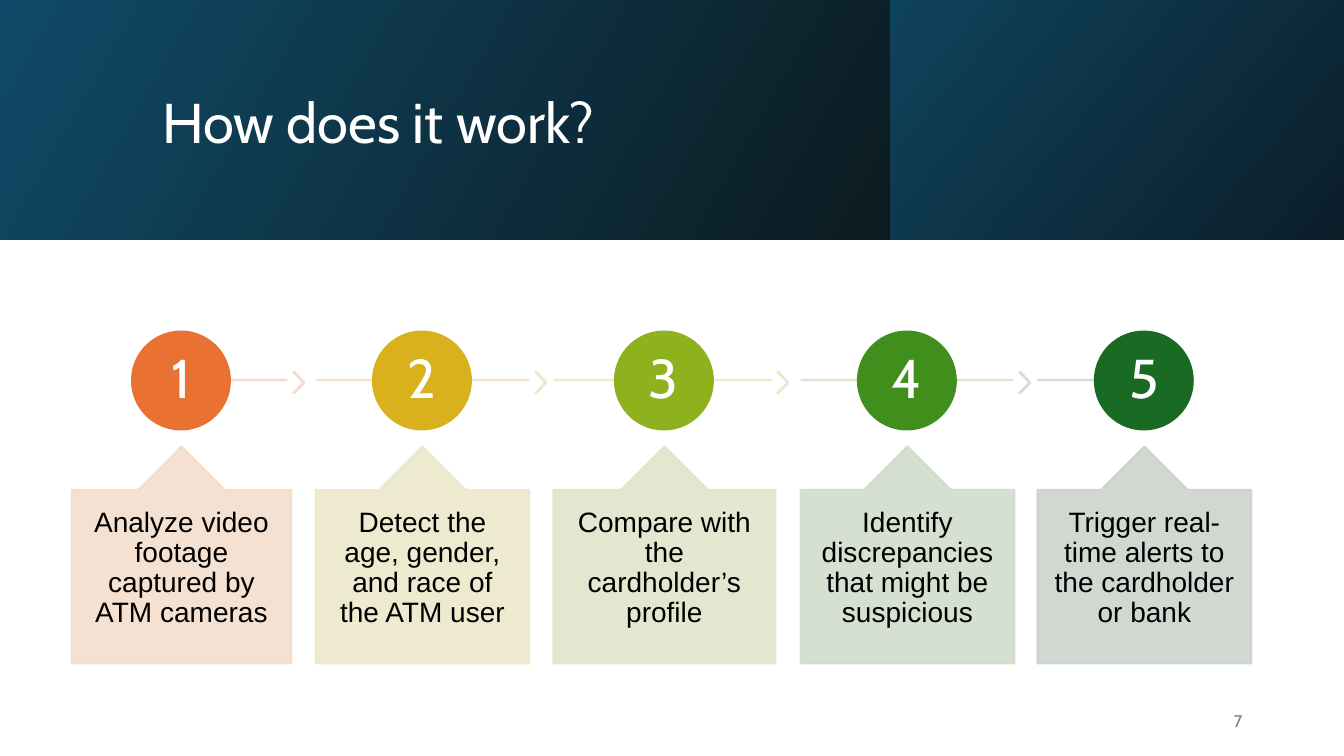
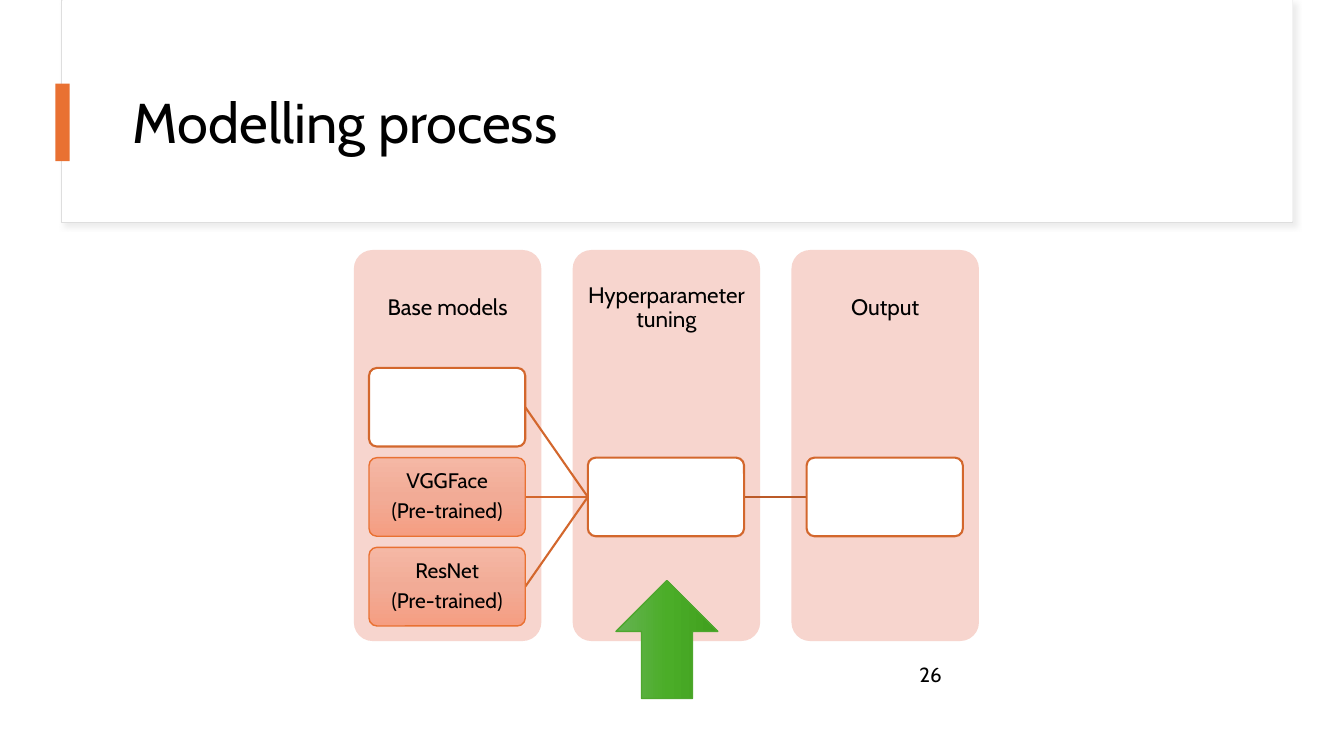
from pptx import Presentation
from pptx.dml.color import RGBColor
from pptx.enum.shapes import MSO_CONNECTOR, MSO_SHAPE
from pptx.enum.text import MSO_ANCHOR, PP_ALIGN
from pptx.oxml.ns import qn
from pptx.util import Inches, Pt
from lxml.etree import SubElement

COLORS = {
    "white": "FFFFFF",
    "black": "000000",
    "grey": "797979",
    "orange": "E97132",
    "rust": "D3672D",
    "dark rust": "BB5A28",
    "blush": "F7D5CE",
    "card edge": "DEDEDE",
    "card shadow": "D9D9D9",
    "green": "4EA72E",
}
BAND_LEFT = ["104A68", "0C1B20"]
BAND_RIGHT = ["0F435C", "0B1E2A"]
SALMON = ["F5B8A5", "F2AB96", "F59E82"]
LEAF = ["66B354", "4BAD28", "409F1E"]


class Deck:
    """Holds the shared style and the slide being drawn."""

    font = "Cabin"

    def __init__(self):
        self.presentation = Presentation()
        self.presentation.slide_width = Inches(13.33)
        self.presentation.slide_height = Inches(7.5)
        self.slide = None

    def add_slide(self):
        self.slide = self.presentation.slides.add_slide(self.presentation.slide_layouts[6])

    def color(self, name):
        return RGBColor.from_string(COLORS.get(name, name))

    def set_alpha(self, shape, percent):
        for color in shape._element.spPr.iter(qn("a:srgbClr")):
            SubElement(color, qn("a:alpha"), val=str(percent * 1000))

    def set_gradient(self, shape, stops, angle):
        shape.fill.gradient()
        shape.fill.gradient_angle = angle
        stop_list = shape._element.spPr.find(".//" + qn("a:gsLst"))
        for stop in list(stop_list):
            stop_list.remove(stop)
        for index, value in enumerate(stops):
            position = 100000 * index // (len(stops) - 1)
            stop = SubElement(stop_list, qn("a:gs"), pos=str(position))
            SubElement(stop, qn("a:srgbClr"), val=value)

    def set_shadow(self, shape, name):
        effects = shape._element.spPr.find(qn("a:effectLst"))
        shadow = SubElement(effects, qn("a:outerShdw"), blurRad=str(Pt(4)), dist=str(Pt(3)),
                            dir="2700000", algn="tl", rotWithShape="0")
        color = SubElement(shadow, qn("a:srgbClr"), val=COLORS[name])
        SubElement(color, qn("a:alpha"), val="50000")

    def shape(self, kind, left, top, width, height, fill, line=None, weight=1.5,
              angle=0, adjustments=()):
        shape = self.slide.shapes.add_shape(
            kind, Inches(left), Inches(top), Inches(width), Inches(height))
        shape.shadow.inherit = False
        for index, value in enumerate(adjustments):
            shape.adjustments[index] = value
        if isinstance(fill, list):
            self.set_gradient(shape, fill, angle)
        else:
            shape.fill.solid()
            shape.fill.fore_color.rgb = self.color(fill)
        if line:
            shape.line.color.rgb = self.color(line)
            shape.line.width = Pt(weight)
        else:
            shape.line.fill.background()
        return shape

    def line(self, start, end, name):
        connector = self.slide.shapes.add_connector(
            MSO_CONNECTOR.STRAIGHT, *[Inches(value) for value in (*start, *end)])
        connector.line.color.rgb = self.color(name)
        connector.line.width = Pt(1.5)
        SubElement(connector._element.spPr, qn("a:effectLst"))
        return connector

    def fill_text(self, shape, lines, size, color="black", font=None, align=PP_ALIGN.CENTER,
                  anchor=MSO_ANCHOR.MIDDLE, insets=(0.1, 0.05), spacing=0.9, gap=0):
        frame = shape.text_frame
        frame.word_wrap = True
        frame.vertical_anchor = anchor
        frame.margin_left = frame.margin_right = Inches(insets[0])
        frame.margin_top = frame.margin_bottom = Inches(insets[1])
        for index, text in enumerate(lines):
            paragraph = frame.paragraphs[0] if index == 0 else frame.add_paragraph()
            paragraph.text = text
            paragraph.alignment = align
            paragraph.line_spacing = spacing
            paragraph.space_before = Pt(gap if index else 0)
            paragraph.font.size = Pt(size)
            paragraph.font.name = font or self.font
            paragraph.font.color.rgb = self.color(color)

    def text(self, left, top, width, height, text, size, **style):
        box = self.slide.shapes.add_textbox(
            Inches(left), Inches(top), Inches(width), Inches(height))
        self.fill_text(box, [text], size, **style)

    def title(self, left, top, width, height, text, color):
        self.text(left, top, width, height, text, 40, color=color, align=PP_ALIGN.LEFT)

    # Numbered circle with its track and callout
    def step(self, number, left, width, text, circle, track, callout):
        center = left + width / 2
        start = center if number == 1 else left
        end = center if number == 5 else 2.85 + 2.4 * (number - 1)
        self.set_alpha(self.line((start, 3.77), (end, 3.77), track), 90)
        disc = self.shape(MSO_SHAPE.OVAL, center - 0.49, 3.29, 0.97, 0.97, circle, circle)
        self.fill_text(disc, [str(number)], 39, color="white", insets=(0.04, 0.04))
        box = self.shape(MSO_SHAPE.UP_ARROW_CALLOUT, left, 4.43, width, 2.15, callout, callout,
                         adjustments=(0.4, 0.2, 0.2, 0.8))
        self.set_alpha(box, 90)
        self.fill_text(box, [text], 20, font="Arial", anchor=MSO_ANCHOR.TOP,
                       insets=(0.17, 0.18))

    def chevron(self, index, color):
        chevron = self.shape(MSO_SHAPE.CHEVRON, 2.91 + 2.4 * index, 3.69, 0.11, 0.21,
                             color, color, adjustments=(0.9,))
        self.set_alpha(chevron, 90)

    # Tinted column with a heading
    def column(self, left, heading):
        self.shape(MSO_SHAPE.ROUNDED_RECTANGLE, left, 2.48, 1.86, 3.88, "blush",
                   adjustments=(0.1,))
        self.text(left, 2.48, 1.86, 1.16, heading, 16, insets=(0.12, 0.12))

    def card(self, left, top, lines=()):
        fill, line, weight = (SALMON, "orange", 1) if lines else ("white", "rust", 1.5)
        card = self.shape(MSO_SHAPE.ROUNDED_RECTANGLE, left, top, 1.55, 0.78, fill, line,
                          weight, angle=270, adjustments=(0.1,))
        if lines:
            self.fill_text(card, lines, 15, insets=(0.04, 0.03), gap=5)


def build_steps(deck):
    deck.add_slide()
    # Header band
    deck.shape(MSO_SHAPE.RECTANGLE, 0, 0, 8.84, 2.38, BAND_LEFT, angle=330)
    deck.shape(MSO_SHAPE.RECTANGLE, 8.83, 0, 4.5, 2.38, BAND_RIGHT, angle=320)
    deck.title(1.51, 0.38, 10.63, 1.72, "How does it work?", "white")

    # Steps: left, width, text, circle, track and callout colours
    steps = [
        (0.71, 2.18, "Analyze video footage captured by ATM cameras",
         "E97132", "F7D5CE", "F3DECC"),
        (3.13, 2.12, "Detect the age, gender, and race of the ATM user",
         "D8B11D", "F1E1CB", "EDE8CB"),
        (5.49, 2.2, "Compare with the cardholder’s profile",
         "8EB21E", "EAEACA", "DFE6CA"),
        (7.94, 2.12, "Identify discrepancies that might be suspicious",
         "408E1C", "D9E3CA", "D1DDCB"),
        (10.29, 2.12, "Trigger real-time alerts to the cardholder or bank",
         "196B24", "CEDACB", "CCD4CD"),
    ]
    for number, step in enumerate(steps, 1):
        deck.step(number, *step)
    for index, color in enumerate(["F5D9CD", "EFE5CB", "E5E8CA", "D5E0CA"]):
        deck.chevron(index, color)

    # Slide number
    deck.text(9.42, 6.95, 3, 0.4, "7", 12, color="grey", align=PP_ALIGN.RIGHT, spacing=1)


def build_modelling(deck):
    deck.add_slide()
    # Title card with accent bar
    title_card = deck.shape(MSO_SHAPE.RECTANGLE, 0.61, 0, 12.21, 2.21, "white", "card edge", 0.75)
    deck.set_shadow(title_card, "card shadow")
    deck.shape(MSO_SHAPE.RECTANGLE, 0.62, 0, 12.2, 2.2, "white")
    deck.title(1.22, 0.6, 11.12, 1.29, "Modelling process", "black")
    deck.shape(MSO_SHAPE.RECTANGLE, 0.55, 0.83, 0.14, 0.77, "orange")

    # Columns
    headings = ["Base models", "Hyperparameter tuning", "Output"]
    lefts = [3.51 + 2.17 * index for index in range(len(headings))]
    for left, heading in zip(lefts, headings):
        deck.column(left, heading)

    # Cards and the lines that join them
    base, tuning, output = [left + 0.15 for left in lefts]
    rows = [3.65 + 0.89 * index for index in range(3)]
    middle = rows[1] + 0.39
    models = [(), ("VGGFace", "(Pre-trained)"), ("ResNet", "(Pre-trained)")]
    for top, lines in zip(rows, models):
        deck.line((base + 1.55, top + 0.39), (tuning, middle), "rust")
        deck.card(base, top, lines)
    deck.line((tuning + 1.55, middle), (output, middle), "dark rust")
    for left in (tuning, output):
        deck.card(left, rows[1])

    # Slide number and arrow
    deck.text(9.02, 6.52, 2.45, 0.33, "26", 14.6, align=PP_ALIGN.LEFT,
              anchor=MSO_ANCHOR.TOP, spacing=1)
    deck.shape(MSO_SHAPE.UP_ARROW, 6.11, 5.76, 1.01, 1.17, LEAF, "green", 1)


def main():
    deck = Deck()
    build_steps(deck)
    build_modelling(deck)
    deck.presentation.save("out.pptx")


if __name__ == "__main__":
    main()
